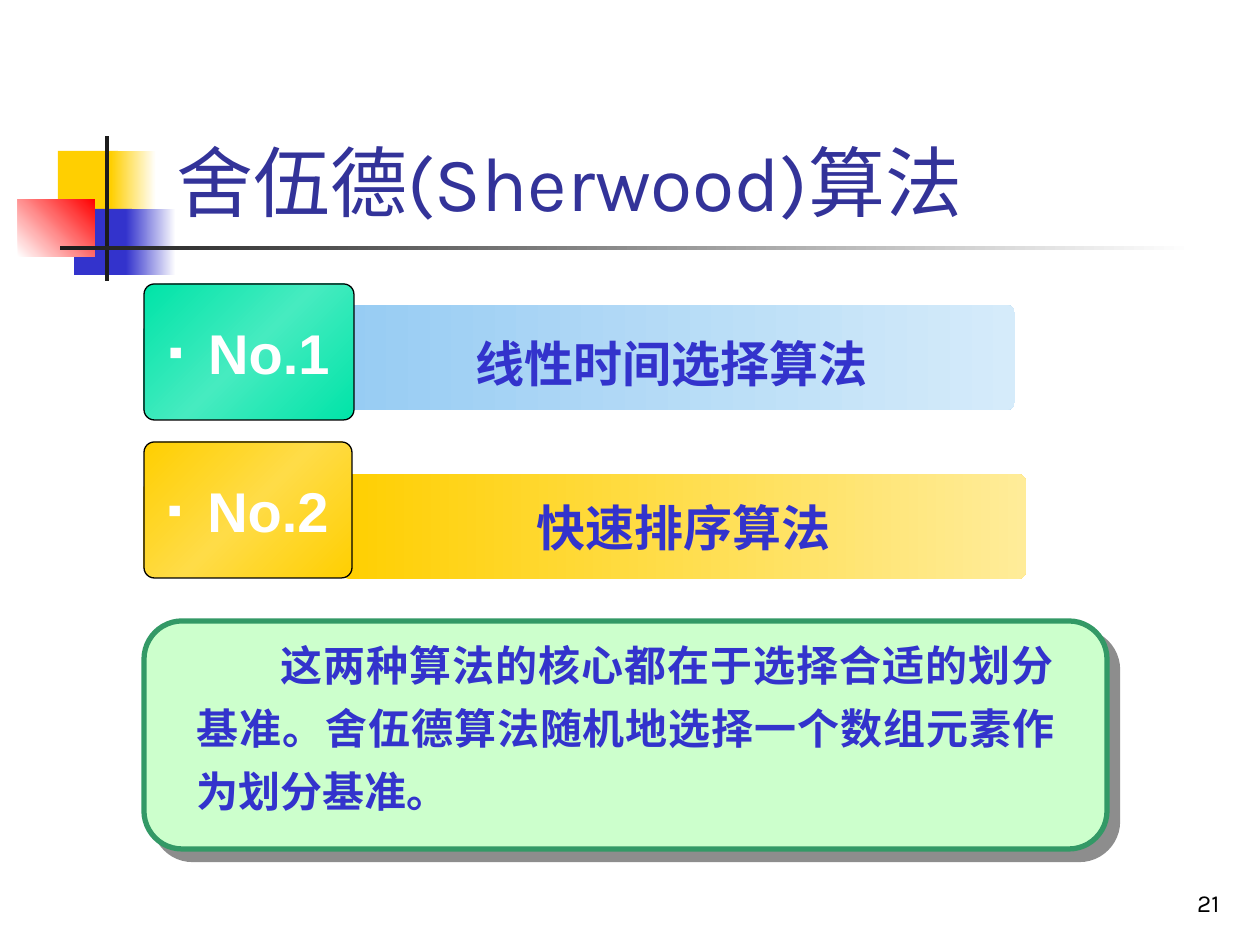
from copy import deepcopy

from pptx import Presentation
from pptx.dml.color import RGBColor
from pptx.enum.shapes import MSO_SHAPE as Shape
from pptx.enum.text import MSO_ANCHOR as Anchor, PP_ALIGN as Align
from pptx.oxml import parse_xml
from pptx.oxml.ns import nsdecls, qn
from pptx.util import Pt

PX = 914400 / 126

COLORS = {
    "white": "FFFFFF", "black": "000000", "ink": "1C1C1C",
    "gold": "FFCF01", "gold_mid": "FFDC47", "gold_pale": "FFEC99",
    "blue": "3333CC", "title": "333399", "red": "FF0000",
    "sky": "97CCF3", "sky_pale": "D5EBFA",
    "mint": "00E4A8", "mint_mid": "46EBC0",
    "card": "CCFFCC", "card_edge": "339966",
}


def px(value):
    return round(value * PX)


def rgb(name):
    return RGBColor.from_string(COLORS[name])


def paint(shape, names, angle=0):
    if len(names) == 1:
        shape.fill.solid()
        shape.fill.fore_color.rgb = rgb(names[0])
        return
    shape.fill.gradient()
    shape.fill.gradient_angle = -angle % 360
    stop_list = shape._element.spPr.find(qn("a:gradFill")).find(qn("a:gsLst"))
    while len(stop_list) < len(names):
        stop_list.append(deepcopy(stop_list[0]))
    for index, (stop, name) in enumerate(zip(shape.fill.gradient_stops, names)):
        stop.position = index / (len(names) - 1)
        stop.color.rgb = rgb(name)


def add_block(shapes, area, names, angle=0, corner=None, edge=None, weight=0.75):
    kind = Shape.RECTANGLE if corner is None else Shape.ROUNDED_RECTANGLE
    block = shapes.add_shape(kind, *map(px, area))
    block.shadow.inherit = False
    if corner is not None:
        block.adjustments[0] = corner
    paint(block, names, angle)
    if edge:
        block.line.color.rgb = rgb(edge)
        block.line.width = Pt(weight)
    else:
        block.line.fill.background()
    return block


def write(shape, text, font, size, color, align=Align.LEFT, anchor=Anchor.MIDDLE,
          bold=False, wrap=True):
    frame = shape.text_frame
    frame.word_wrap = wrap
    frame.vertical_anchor = anchor
    para = frame.paragraphs[0]
    para.alignment = align
    span = para.add_run()
    span.text = text
    span.font.name = font
    span.font.size = Pt(size)
    span.font.bold = bold
    span.font.color.rgb = rgb(color)
    return para


def add_text(shapes, area, *content, **style):
    return write(shapes.add_textbox(*map(px, area)), *content, **style)


def set_indent(para, margin, indent):
    properties = para._p.get_or_add_pPr()
    properties.set("marL", str(px(margin)))
    properties.set("indent", str(px(indent)))
    return properties


def add_bullet(para):
    properties = set_indent(para, 40, -40)
    for xml in (f'<a:buClr {nsdecls("a")}><a:srgbClr val="{COLORS["white"]}"/></a:buClr>',
                f'<a:buSzPct {nsdecls("a")} val="75000"/>',
                f'<a:buFont {nsdecls("a")} typeface="Arial"/>',
                f'<a:buChar {nsdecls("a")} char="▪"/>'):
        properties.append(parse_xml(xml))


def add_drop_shadow(shape):
    effects = shape._element.spPr.find(qn("a:effectLst"))
    effects.append(parse_xml(
        f'<a:outerShdw {nsdecls("a")} blurRad="0" dist="{Pt(8.5)}" dir="2700000" '
        f'algn="ctr" rotWithShape="0"><a:srgbClr val="{COLORS["ink"]}">'
        '<a:alpha val="50000"/></a:srgbClr></a:outerShdw>'))


def add_decoration(shapes):
    for area, names, angle in (
        ((58, 151, 60, 66), ["gold"], 0),
        ((111, 151, 45, 66), ["gold", "white"], 0),
        ((74, 209, 58, 66), ["blue"], 0),
        ((126, 209, 50, 66), ["blue", "white"], 0),
        ((18, 199, 77, 58), ["white", "red"], 315),
        ((105, 136, 4, 145), ["ink"], 0),
        ((60, 246, 1134, 4), ["ink", "white"], 0),
    ):
        add_block(shapes, area, names, angle)


def add_item(shapes, label, text, font, bar_area, bar_colors, badge_area, badge_colors):
    group = shapes.add_group_shape().shapes
    bar = add_block(group, bar_area, bar_colors, corner=0.076)
    write(bar, text, font, 28, "blue", Align.CENTER, bold=True, wrap=False)
    badge = add_block(group, badge_area, badge_colors, 45, 0.076, "black")
    add_bullet(write(badge, label, "Arial", 32, "white", Align.CENTER,
                     bold=True, wrap=False))
    return bar


def add_summary(shapes):
    card = add_block(shapes, (144, 621, 963, 228), ["card"], corner=0.167,
                     edge="card_edge", weight=3)
    add_drop_shadow(card)
    para = add_text(
        shapes, (184, 621, 883, 202),
        "这两种算法的核心都在于选择合适的划分基准。舍伍德算法随机地选择一个数组元素作为划分基准。",
        "Times New Roman", 24, "blue", align=Align.JUSTIFY, anchor=Anchor.TOP, bold=True)
    para.line_spacing = 1.25
    set_indent(para, 0, 84)


def main():
    deck = Presentation()
    deck.slide_width, deck.slide_height = px(1260), px(945)
    page = deck.slides.add_slide(deck.slide_layouts[6])
    shapes = page.shapes
    add_decoration(shapes)
    add_text(shapes, (970, 861, 262, 63), "21", "Karla", 14, "black",
             align=Align.RIGHT, anchor=Anchor.BOTTOM)
    add_text(shapes, (164, 125, 1071, 111), "舍伍德(Sherwood)算法",
             "Karla", 44, "title")
    add_summary(shapes)
    first_bar = add_item(
        shapes, "No.1", "线性时间选择算法", "Noto Sans CJK SC",
        (343, 305, 672, 105), ["sky", "sky_pale"],
        (144, 284, 210, 136), ["mint", "mint_mid", "mint"])
    first_bar.text_frame.margin_top = px(18)
    first_bar.text_frame.margin_right = px(27)
    add_item(
        shapes, "No.2", "快速排序算法", "Arial",
        (341, 474, 685, 105), ["gold", "gold_pale"],
        (144, 442, 208, 136), ["gold", "gold_mid", "gold"])
    deck.save("out.pptx")


if __name__ == "__main__":
    main()
